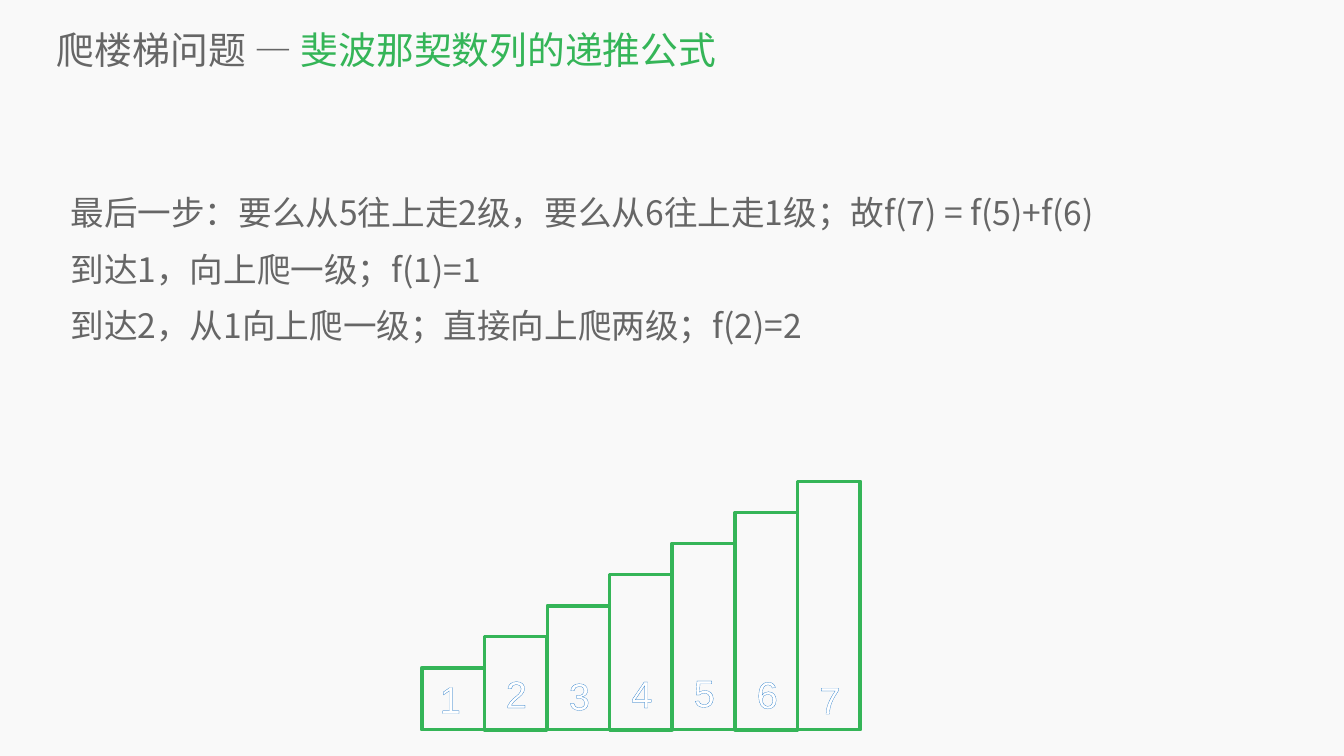
from dataclasses import dataclass

import lxml.etree
import pptx
import pptx.dml.color
import pptx.enum.shapes
import pptx.enum.text
import pptx.oxml
import pptx.oxml.ns
import pptx.util

PX = 9144
GREY, GREEN, WHITE, BLUE = "666666", "35B558", "FFFFFF", "0065C1"
CJK, LATIN = "Noto Sans CJK SC", "Arial"
STAIR_LEFT, STAIR_BOTTOM, STAIR_SPAN = 837, 1448, 746
FIRST_HEIGHT, HEIGHT_GAIN = 123, 370


@dataclass
class Step:
    label: str
    label_inset: int
    label_top: int


STEPS = [
    Step("1", 26, 1336),
    Step("2", 33, 1325),
    Step("3", 33, 1329),
    Step("4", 33, 1325),
    Step("5", 33, 1323),
    Step("6", 33, 1326),
    Step("7", 33, 1337),
]
LINES = [
    "最后一步：要么从5往上走2级，要么从6往上走1级；故f(7) = f(5)+f(6)",
    "到达1，向上爬一级；f(1)=1",
    "到达2，从1向上爬一级；直接向上爬两级；f(2)=2",
]


def px(*lengths: int) -> list:
    return [pptx.util.Emu(length * PX) for length in lengths]


def color(value: str) -> pptx.dml.color.RGBColor:
    return pptx.dml.color.RGBColor.from_string(value)


def add_span(para, text: str, size: int, value: str, font: str):
    span = para.add_run()
    span.text = text
    span.font.size = pptx.util.Pt(size)
    span.font.name = font
    span.font.color.rgb = color(value)
    east_asian = lxml.etree.SubElement(span.font._element, pptx.oxml.ns.qn("a:ea"))
    east_asian.set("typeface", font)
    return span


def clear_margins(frame) -> None:
    frame.margin_left = frame.margin_top = frame.margin_right = frame.margin_bottom = 0


def outline_span(span, value: str, width: float) -> None:
    line = pptx.oxml.parse_xml(
        f'<a:ln {pptx.oxml.ns.nsdecls("a")} w="{pptx.util.Pt(width)}">'
        f'<a:solidFill><a:srgbClr val="{value}"/></a:solidFill></a:ln>'
    )
    span.font._element.insert(0, line)


def fill_title(page) -> None:
    title = page.shapes.title
    title.left, title.top, title.width, title.height = px(113, 47, 2516, 102)
    frame = title.text_frame
    clear_margins(frame)
    frame.word_wrap = True
    frame.auto_size = pptx.enum.text.MSO_AUTO_SIZE.NONE
    frame.vertical_anchor = pptx.enum.text.MSO_ANCHOR.MIDDLE
    para = frame.paragraphs[0]
    para.alignment = pptx.enum.text.PP_ALIGN.LEFT
    add_span(para, "爬楼梯问题 — ", 54, GREY, CJK)
    add_span(para, "斐波那契数列的递推公式", 54, GREEN, CJK)


def add_explanation(page) -> None:
    frame = page.shapes.add_textbox(*px(119, 349, 2428, 1124)).text_frame
    clear_margins(frame)
    frame.word_wrap = True
    for index, text in enumerate(LINES):
        para = frame.add_paragraph() if index else frame.paragraphs[0]
        para.line_spacing = 1.4
        para._p.get_or_add_pPr().set("marL", str(21 * PX))
        add_span(para, text, 48, GREY, CJK)


def step_left(index: int) -> int:
    return STAIR_LEFT + round(STAIR_SPAN * index / (len(STEPS) - 1))


def add_step(group, index: int) -> None:
    height = FIRST_HEIGHT + round(HEIGHT_GAIN * index / (len(STEPS) - 1))
    box = group.shapes.add_shape(
        pptx.enum.shapes.MSO_SHAPE.RECTANGLE,
        *px(step_left(index), STAIR_BOTTOM - height, 124, height),
    )
    box.shadow.inherit = False
    box.fill.background()
    box.line.color.rgb = color(GREEN)
    box.line.width = pptx.util.Pt(5)


def add_label(group, index: int, step: Step) -> None:
    left = step_left(index) + step.label_inset
    frame = group.shapes.add_textbox(*px(left, step.label_top, 58, 101)).text_frame
    frame.word_wrap = False
    frame.auto_size = pptx.enum.text.MSO_AUTO_SIZE.SHAPE_TO_FIT_TEXT
    para = frame.paragraphs[0]
    para.alignment = pptx.enum.text.PP_ALIGN.CENTER
    outline_span(add_span(para, step.label, 54, WHITE, LATIN), BLUE, 0.8)


def main() -> None:
    """Build the climbing-stairs slide and save it."""
    deck = pptx.Presentation()
    deck.slide_width, deck.slide_height = px(2667, 1500)
    page = deck.slides.add_slide(deck.slide_layouts[5])
    page.background.fill.solid()
    page.background.fill.fore_color.rgb = color("F9F9F9")
    fill_title(page)
    add_explanation(page)
    staircase = page.shapes.add_group_shape()
    for index in range(len(STEPS)):
        add_step(staircase, index)
    for index, step in enumerate(STEPS):
        add_label(staircase, index, step)
    deck.save("out.pptx")


if __name__ == "__main__":
    main()
